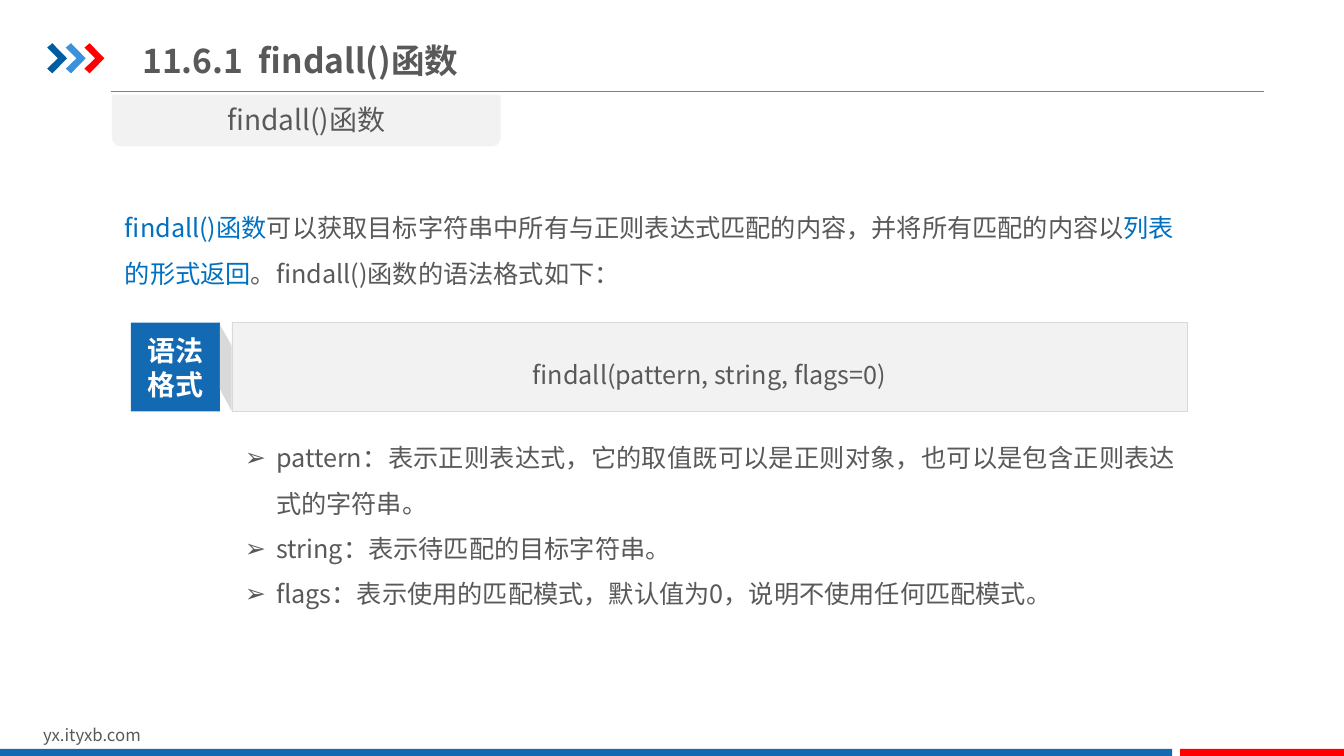
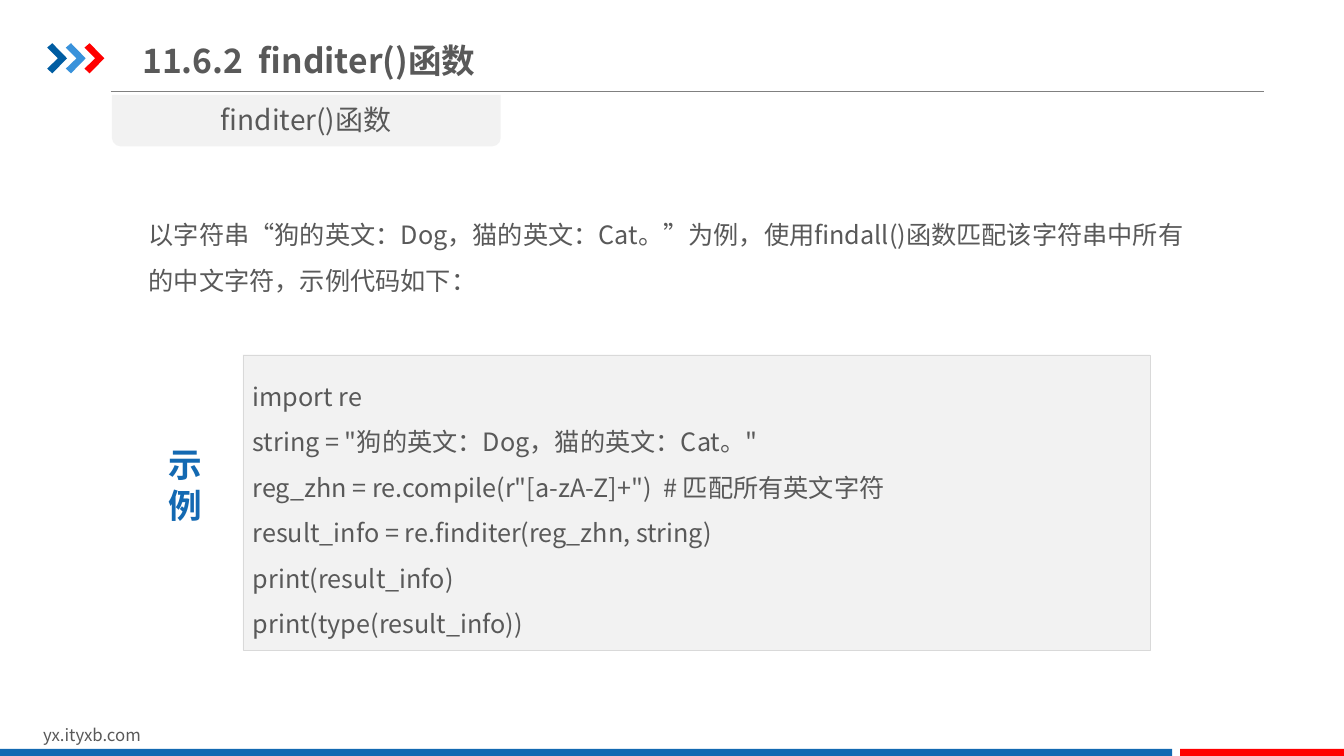
from lxml import etree
from pptx import Presentation
from pptx.dml.color import RGBColor
from pptx.enum.shapes import MSO_CONNECTOR, MSO_SHAPE
from pptx.enum.text import MSO_ANCHOR, MSO_AUTO_SIZE, PP_ALIGN
from pptx.oxml.ns import qn
from pptx.util import Cm, Pt

RECT, TAB = MSO_SHAPE.RECTANGLE, MSO_SHAPE.ROUND_2_SAME_RECTANGLE
LINE = MSO_CONNECTOR.STRAIGHT
LEFT, MID, JUST = PP_ALIGN.LEFT, PP_ALIGN.CENTER, PP_ALIGN.JUSTIFY
TOP, CENTRE = MSO_ANCHOR.TOP, MSO_ANCHOR.MIDDLE
FIXED = MSO_AUTO_SIZE.NONE

FONT = "Noto Sans CJK SC"
GREY = RGBColor(0x59, 0x59, 0x59)
RULE = RGBColor(0x80, 0x80, 0x80)
EDGE = RGBColor(0xD9, 0xD9, 0xD9)
PALE = RGBColor(0xF2, 0xF2, 0xF2)
WHITE = RGBColor(0xFF, 0xFF, 0xFF)
BLUE = RGBColor(0x13, 0x69, 0xB2)
LINK = RGBColor(0x00, 0x70, 0xC0)
NAVY = RGBColor(0x00, 0x5D, 0xA2)
SKY = RGBColor(0x39, 0x92, 0xDB)
RED = RGBColor(0xFF, 0x00, 0x00)


def paint(shape, fill, edge=None):
    shape.shadow.inherit = False
    shape.fill.solid()
    shape.fill.fore_color.rgb = fill
    if edge is None:
        shape.line.fill.background()
    else:
        shape.line.color.rgb = edge
        shape.line.width = Pt(0.25)


def write(shape, text, size, color=GREY, bold=False, align=LEFT,
          anchor=TOP, space=1.0, bullet=None, tab=None):
    """Fill a shape with text, one paragraph a line, in one style."""
    frame = shape.text_frame
    frame.text = text
    frame.word_wrap = True
    frame.auto_size = FIXED
    frame.vertical_anchor = anchor
    for para in frame.paragraphs:
        para.alignment = align
        para.line_spacing = space
        para.space_before = Pt(0)
        props = para._p.get_or_add_pPr()
        if bullet:
            props.set("marL", str(Cm(0.79)))
            props.set("indent", str(-Cm(0.79)))
            etree.SubElement(props, qn("a:buChar")).set("char", bullet)
        if tab:
            stops = etree.SubElement(props, qn("a:tabLst"))
            stop = etree.SubElement(stops, qn("a:tab"))
            stop.set("pos", str(tab))
            stop.set("algn", "l")
        font = para.font
        font.size, font.bold, font.name = Pt(size), bold, FONT
        font.color.rgb = color
        east = etree.SubElement(props.find(qn("a:defRPr")), qn("a:ea"))
        east.set("typeface", FONT)


deck = Presentation()
deck.slide_width, deck.slide_height = Cm(33.87), Cm(19.05)
first = deck.slides.add_slide(deck.slide_layouts[1])
second = deck.slides.add_slide(deck.slide_layouts[5])

# Shared rule, chevrons, address and bands, moved to the master
rule = first.shapes.add_connector(LINE, Cm(2.79), Cm(2.31), Cm(31.85), Cm(2.31))
rule.line.color.rgb = RULE
rule.line.width = Pt(0.75)
etree.SubElement(rule.element.spPr, qn("a:effectLst"))
shared = [rule]

arrow = [(0.13, 0), (0.5, 0.38), (0.13, 0.76), (0, 0.64), (0.27, 0.38)]
for i, color in enumerate((NAVY, SKY, RED)):
    x, y = 1.19 + 0.47 * i, 1.09
    pen = first.shapes.build_freeform(Cm(x), Cm(y + 0.11))
    pen.add_line_segments([(Cm(x + dx), Cm(y + dy)) for dx, dy in arrow])
    mark = pen.convert_to_shape()
    paint(mark, color)
    shared.append(mark)

site = first.shapes.add_textbox(Cm(0.84), Cm(18.14), Cm(8.08), Cm(0.76))
write(site, "yx.ityxb.com", 12)
shared.append(site)

for x, width, color in ((0, 29.54, BLUE), (29.74, 4.13, RED)):
    band = first.shapes.add_shape(RECT, Cm(x), Cm(18.87), Cm(width), Cm(0.18))
    paint(band, color)
    shared.append(band)

for i, shape in enumerate(shared, 100):
    shape.element.xpath(".//p:cNvPr")[0].set("id", str(i))
    deck.slide_master.shapes.element.append(shape.element)

# Title and topic tab of each slide
for slide, number, topic in ((first, "11.6.1", "findall()函数"),
                             (second, "11.6.2", "finditer()函数")):
    title = slide.shapes.title
    title.left, title.top = Cm(3.33), Cm(0.74)
    title.width, title.height = Cm(16.1), Cm(1.55)
    write(title, f"{number}\t{topic}", 24, bold=True, anchor=CENTRE, tab=Cm(2.94))
    label = slide.shapes.add_shape(TAB, Cm(2.82), Cm(2.39), Cm(9.8), Cm(1.3))
    label.adjustments[0], label.adjustments[1] = 0, 0.17
    paint(label, PALE)
    write(label, topic, 20, align=MID, anchor=CENTRE)

# Slide 1: syntax of findall()
intro = first.shapes.add_textbox(Cm(2.9), Cm(4.85), Cm(27.5), Cm(2.57))
write(intro, "", 18, space=1.5)
for text, color in (
        ("findall()函数", LINK),
        ("可以获取目标字符串中所有与正则表达式匹配的内容，并将所有匹配的内容以", GREY),
        ("列表的形式返回", LINK),
        ("。findall()函数的语法格式如下：", GREY)):
    run = intro.text_frame.paragraphs[0].add_run()
    run.text = text
    run.font.color.rgb = color

syntax = first.shapes.add_shape(RECT, Cm(5.84), Cm(8.13), Cm(24.08), Cm(2.24))
paint(syntax, PALE, EDGE)
write(syntax, "findall(pattern, string, flags=0)", 18, align=MID,
      anchor=CENTRE, space=1.5)

badge = first.shapes.add_shape(RECT, Cm(3.3), Cm(8.13), Cm(2.24), Cm(2.24))
paint(badge, BLUE)
write(badge, "语法\n格式", 20, WHITE, bold=True, align=MID, anchor=CENTRE)

pen = first.shapes.build_freeform(Cm(5.84), Cm(8.71))
pen.add_line_segments([(Cm(x), Cm(y)) for x, y in
                       ((5.84, 10.36), (5.54, 9.8), (5.54, 8.18))])
paint(pen.convert_to_shape(), EDGE)

body = first.placeholders[1]
body.left, body.top, body.width, body.height = Cm(5.84), Cm(10.59), Cm(24.13), Cm(4.95)
write(body, "pattern：表示正则表达式，它的取值既可以是正则对象，也可以是包含正则表达式的字符串。\n"
      "string：表示待匹配的目标字符串。\n"
      "flags：表示使用的匹配模式，默认值为0，说明不使用任何匹配模式。",
      18, align=JUST, space=1.5, bullet="➢")
frame = body.text_frame
frame.margin_left = frame.margin_right = Cm(0.33)
frame.margin_top = frame.margin_bottom = Cm(0.18)

# Slide 2: finditer() example
intro = second.shapes.add_textbox(Cm(3.5), Cm(5.03), Cm(26.92), Cm(2.57))
write(intro, "以字符串“狗的英文：Dog，猫的英文：Cat。”为例，使用findall()函数匹配该字符串中"
      "所有的中文字符，示例代码如下：", 18, space=1.5)

code = second.shapes.add_shape(RECT, Cm(6.12), Cm(8.94), Cm(22.86), Cm(7.44))
paint(code, PALE, EDGE)
write(code, '''import re
string = "狗的英文：Dog，猫的英文：Cat。"
reg_zhn = re.compile(r"[a-zA-Z]+")  # 匹配所有英文字符
result_info = re.finditer(reg_zhn, string)
print(result_info)
print(type(result_info))''', 18, anchor=CENTRE, space=1.5)

sample = second.shapes.add_textbox(Cm(3.99), Cm(11.07), Cm(1.37), Cm(2.31))
write(sample, "示\n例", 24, BLUE, bold=True, align=MID)

deck.save("out.pptx")
